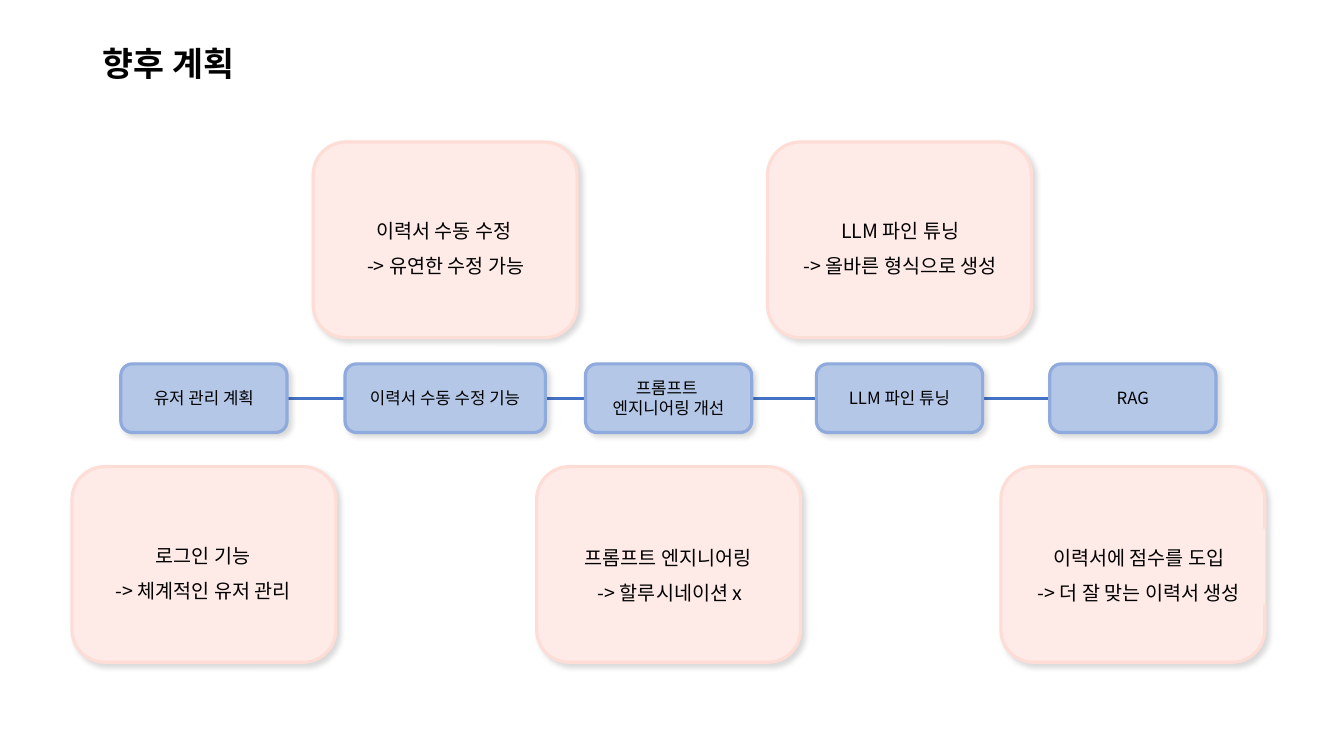
from lxml import etree
from pptx import Presentation
from pptx.dml.color import RGBColor
from pptx.enum.shapes import MSO_CONNECTOR, MSO_SHAPE
from pptx.enum.text import MSO_ANCHOR, MSO_AUTO_SIZE, PP_ALIGN
from pptx.oxml.ns import qn
from pptx.util import Cm, Pt

ROUNDED = MSO_SHAPE.ROUNDED_RECTANGLE
STRAIGHT = MSO_CONNECTOR.STRAIGHT
MIDDLE = MSO_ANCHOR.MIDDLE
TOP = MSO_ANCHOR.TOP
LEFT = PP_ALIGN.LEFT
CENTER = PP_ALIGN.CENTER
FIT_SHAPE = MSO_AUTO_SIZE.SHAPE_TO_FIT_TEXT

FONT = "Noto Sans CJK KR"
BLACK = RGBColor(0x00, 0x00, 0x00)
TIMELINE_BLUE = RGBColor(0x44, 0x72, 0xC4)
STAGE_FILL = RGBColor(0xB4, 0xC7, 0xE7)
STAGE_LINE = RGBColor(0x8F, 0xAA, 0xDC)
CARD_FILL = RGBColor(0xFE, 0xEA, 0xE6)
CARD_LINE = RGBColor(0xFE, 0xDD, 0xD6)

# Sizes in centimetres
STAGE_TOP, STAGE_HEIGHT = 9.17, 1.73
TIMELINE_Y = STAGE_TOP + STAGE_HEIGHT / 2
CARD_WIDTH, CARD_HEIGHT = 6.65, 4.93
UPPER_TOP, LOWER_TOP = 3.58, 11.76
NOTE_HEIGHT = 1.9

# Stage centre, stage width, stage label, card top,
# note centre, note top within the card, note width, note text
STAGES = [
    (5.14, 4.19, "유저 관리 계획", LOWER_TOP,
     5.12, 1.52, 5.51, "로그인 기능\n-> 체계적인 유저 관리"),
    (11.22, 5.05, "이력서 수동 수정 기능", UPPER_TOP,
     11.24, 1.52, 5.0, "이력서 수동 수정 \n-> 유연한 수정 가능"),
    (16.85, 4.19, "프롬프트 \n엔지니어링 개선", LOWER_TOP,
     16.89, 1.57, 6.35, "프롬프트 엔지니어링 \n-> 할루시네이션 x"),
    (22.67, 4.19, "LLM 파인 튜닝", UPPER_TOP,
     22.69, 1.52, 6.02, "LLM 파인 튜닝\n-> 올바른 형식으로 생성"),
    (28.55, 4.19, "RAG", LOWER_TOP,
     28.7, 1.57, 6.35, "이력서에 점수를 도입\n-> 더 잘 맞는 이력서 생성"),
]


def write_text(text_frame, text, size, alignment, anchor, spacing, bold=False):
    text_frame.text = text
    text_frame.word_wrap = True
    text_frame.vertical_anchor = anchor
    for paragraph in text_frame.paragraphs:
        paragraph.alignment = alignment
        paragraph.line_spacing = spacing
        for run in paragraph.runs:
            run.font.size = Pt(size)
            run.font.bold = bold
            run.font.name = FONT
            run.font.color.rgb = BLACK
            east_asian = etree.SubElement(run.font._element, qn("a:ea"))
            east_asian.set("typeface", FONT)


def add_shadow(shape):
    shape.shadow.inherit = False
    effects = shape._element.spPr.find(qn("a:effectLst"))
    shadow = etree.SubElement(
        effects, qn("a:outerShdw"), blurRad=str(Pt(4)), dist=str(Pt(3)),
        dir="2700000", algn="tl", rotWithShape="0")
    color = etree.SubElement(shadow, qn("a:srgbClr"), val=str(BLACK))
    etree.SubElement(color, qn("a:alpha"), val="15000")


def add_rounded_box(slide, center, top, width, height, fill, line):
    shape = slide.shapes.add_shape(
        ROUNDED, Cm(center - width / 2), Cm(top), Cm(width), Cm(height))
    shape.fill.solid()
    shape.fill.fore_color.rgb = fill
    shape.line.color.rgb = line
    shape.line.width = Pt(2.25)
    add_shadow(shape)
    return shape


def add_note(slide, center, top, width, text):
    note = slide.shapes.add_textbox(
        Cm(center - width / 2), Cm(top), Cm(width), Cm(NOTE_HEIGHT))
    note.fill.solid()
    note.fill.fore_color.rgb = CARD_FILL
    write_text(note.text_frame, text, 14, CENTER, TOP, 1.5)
    note.text_frame.auto_size = FIT_SHAPE


def add_timeline(slide):
    timeline = slide.shapes.add_connector(
        STRAIGHT, Cm(4.52), Cm(TIMELINE_Y), Cm(29.26), Cm(TIMELINE_Y))
    timeline.line.color.rgb = TIMELINE_BLUE
    timeline.line.width = Pt(2.25)
    etree.SubElement(timeline._element.spPr, qn("a:effectLst"))


def set_title(slide, text):
    title = slide.shapes.title
    title.left, title.top = Cm(2.34), Cm(1.02)
    title.width, title.height = Cm(4.52), Cm(1.27)
    write_text(title.text_frame, text, 24, LEFT, MIDDLE, 0.9, bold=True)


def main():
    presentation = Presentation()
    presentation.slide_width, presentation.slide_height = Cm(33.87), Cm(19.05)
    slide = presentation.slides.add_slide(presentation.slide_layouts[5])
    set_title(slide, "향후 계획")

    # Timeline with its stages, each with a card above or below
    add_timeline(slide)
    for (center, width, label, card_top,
         note_center, note_offset, note_width, note) in STAGES:
        stage = add_rounded_box(slide, center, STAGE_TOP, width, STAGE_HEIGHT,
                                STAGE_FILL, STAGE_LINE)
        write_text(stage.text_frame, label, 12, CENTER, MIDDLE, 1.0)
        add_rounded_box(slide, center, card_top, CARD_WIDTH, CARD_HEIGHT,
                        CARD_FILL, CARD_LINE)
        add_note(slide, note_center, card_top + note_offset, note_width, note)

    presentation.save("out.pptx")


if __name__ == "__main__":
    main()
